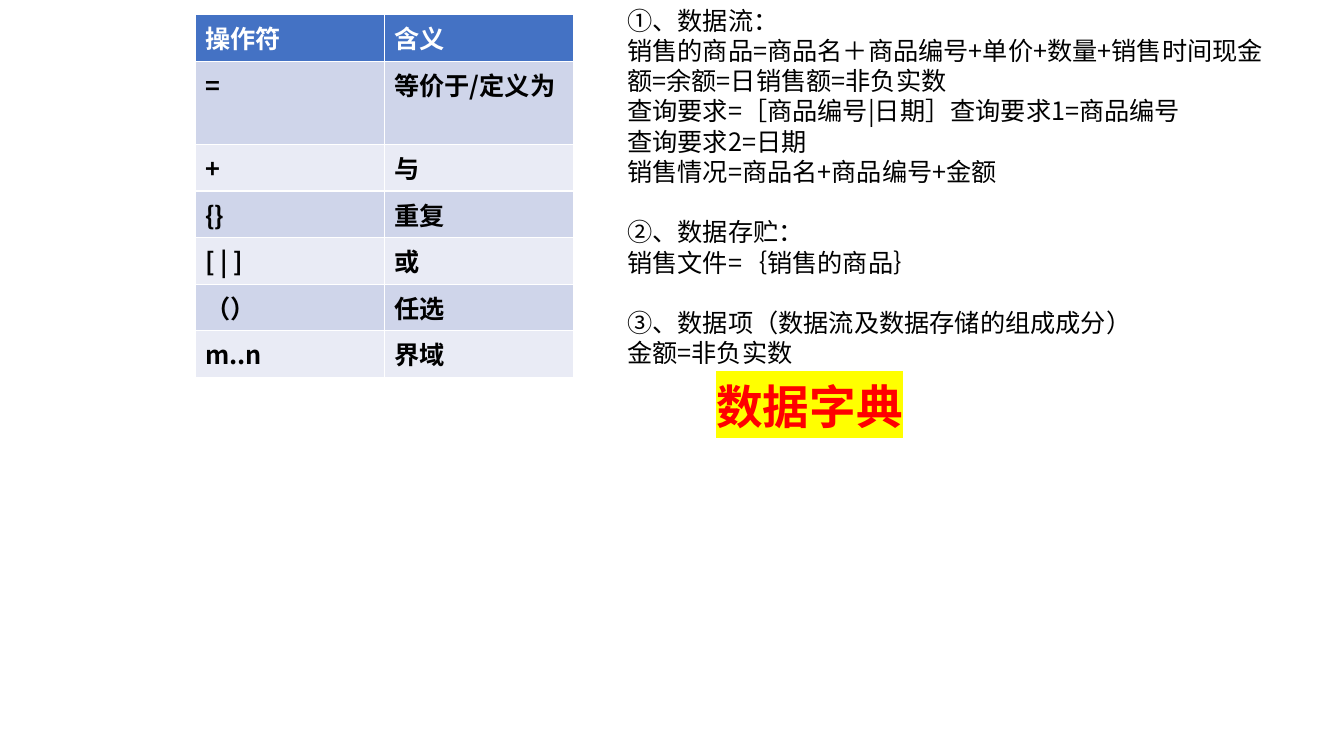
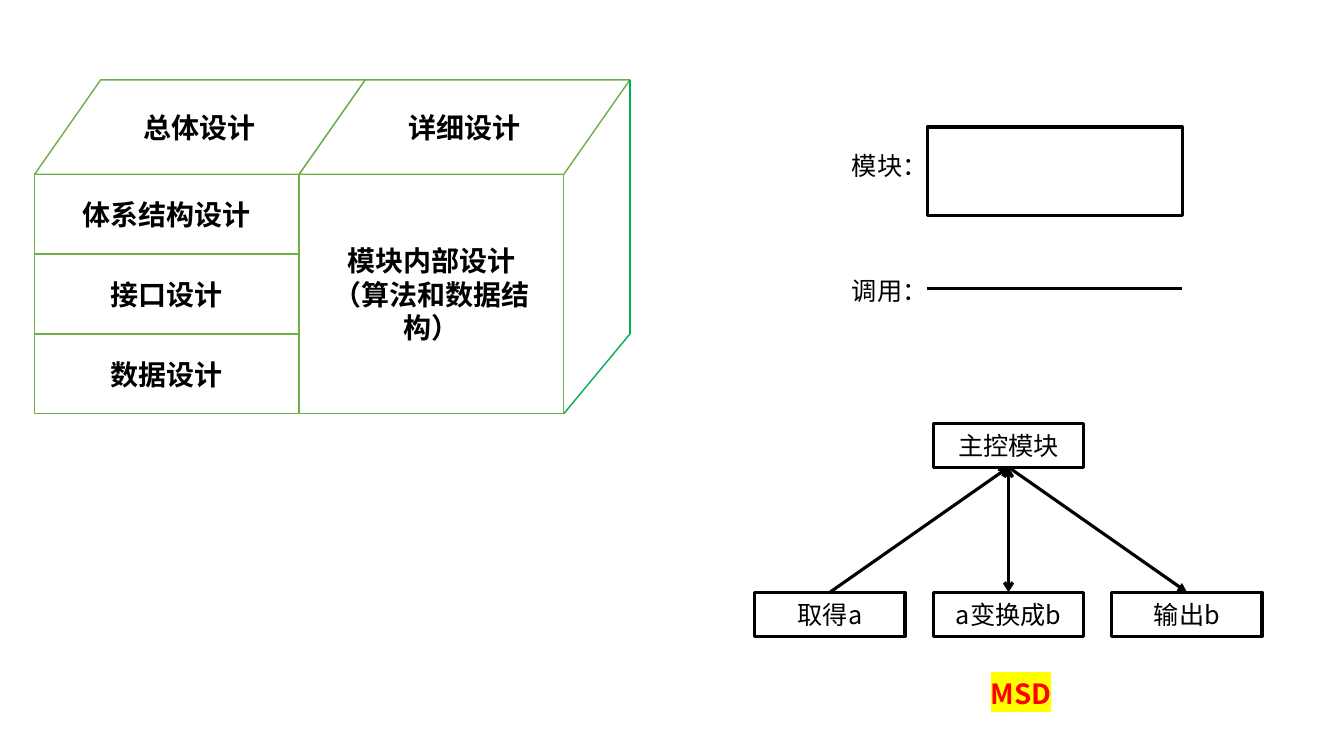
from dataclasses import dataclass

from pptx import Presentation
from pptx.dml.color import RGBColor
from pptx.enum.shapes import MSO_CONNECTOR as Connector, MSO_SHAPE as Preset
from pptx.enum.text import MSO_ANCHOR as Anchor, MSO_AUTO_SIZE as AutoSize, PP_ALIGN as Align
from pptx.oxml.ns import qn
from pptx.oxml.xmlchemy import OxmlElement
from pptx.util import Emu, Pt


@dataclass(frozen=True)
class Theme:
    """Colours, font and sizes shared by the slides."""
    font: str = "Noto Sans CJK SC"
    ink: str = "000000"
    paper: str = "FFFFFF"
    title: str = "FF0000"
    marker: str = "FFFF00"
    header: str = "4472C4"
    bands: tuple = ("CFD5EA", "E9EBF5")
    block: str = "70AD47"
    edge: str = "00B050"
    body_size: float = 18
    block_size: float = 20
    title_size: float = 33.3
    caption_size: float = 19.8
    leading: float = 1.2
    thin: float = 1
    thick: float = 2.25


THEME = Theme()
TITLE_ONLY = 5
TOP, BOTTOM = 0, 2

OPERATORS = (
    ("操作符", "含义"),
    ("=", "等价于/定义为"),
    ("+", "与"),
    ("{}", "重复"),
    ("[ | ]", "或"),
    ("（）", "任选"),
    ("m..n", "界域"),
)
DICTIONARY = (
    ("①、数据流：",
     "销售的商品=商品名＋商品编号+单价+数量+销售时间现金额=余额=日销售额=非负实数",
     "查询要求=［商品编号|日期］查询要求1=商品编号",
     "查询要求2=日期",
     "销售情况=商品名+商品编号+金额"),
    ("②、数据存贮：", "销售文件=｛销售的商品｝"),
    ("③、数据项（数据流及数据存储的组成成分）", "金额=非负实数"),
)


def px(length):
    """Turn pixels into EMU."""
    return Emu(length * 9525)


def rgb(code):
    """Turn a hex code into a colour."""
    return RGBColor.from_string(code)


def write(frame, text, size=THEME.body_size, color=THEME.ink, bold=False,
          align=Align.LEFT, leading=None, marker=None, gaps=()):
    """Write one paragraph per line of text, with space before those in gaps."""
    for index, line in enumerate(text.split("\n")):
        para = frame.paragraphs[0] if index == 0 else frame.add_paragraph()
        para.alignment = align
        if leading:
            para.line_spacing = leading
        if index in gaps:
            para.space_before = Pt(size * THEME.leading)
        span = para.add_run()
        span.text = line
        font = span.font
        font.size, font.bold, font.name = Pt(size), bold, THEME.font
        font.color.rgb = rgb(color)
        props = span._r.get_or_add_rPr()
        east = OxmlElement("a:ea")
        east.set("typeface", THEME.font)
        props.find(qn("a:latin")).addnext(east)
        if marker:
            highlight = OxmlElement("a:highlight")
            tint = OxmlElement("a:srgbClr")
            tint.set("val", marker)
            highlight.append(tint)
            props.find(qn("a:solidFill")).addnext(highlight)


def add_page(deck, title, left, top, width, height, size, leading):
    """Add a slide with its highlighted title."""
    page = deck.slides.add_slide(deck.slide_layouts[TITLE_ONLY])
    box = page.shapes.title
    box.left, box.top, box.width, box.height = map(px, (left, top, width, height))
    frame = box.text_frame
    frame.auto_size, frame.word_wrap = AutoSize.NONE, True
    frame.vertical_anchor = Anchor.BOTTOM
    frame.margin_top = frame.margin_bottom = 0
    write(frame, title, size=size, color=THEME.title, bold=True,
          align=Align.CENTER, leading=leading, marker=THEME.marker)
    return page


def add_text(page, text, left, top, width, height, wrap=True, gaps=()):
    """Add a plain text box."""
    box = page.shapes.add_textbox(*map(px, (left, top, width, height)))
    box.text_frame.word_wrap = wrap
    write(box.text_frame, text, leading=Pt(THEME.body_size * THEME.leading), gaps=gaps)


def add_box(page, left, top, width, height, line, weight, text="", preset=Preset.RECTANGLE, **style):
    """Add an outlined shape with centred text."""
    box = page.shapes.add_shape(preset, *map(px, (left, top, width, height)))
    box.shadow.inherit = False
    box.fill.solid()
    box.fill.fore_color.rgb = rgb(THEME.paper)
    box.line.color.rgb, box.line.width = rgb(line), Pt(weight)
    box.text_frame.vertical_anchor = Anchor.MIDDLE
    if text:
        write(box.text_frame, text, align=Align.CENTER, **style)
    return box


def add_line(page, start, end, color, weight, head=None, tail=None):
    """Add a straight line with optional arrowheads."""
    line = page.shapes.add_connector(Connector.STRAIGHT, *map(px, start + end))
    line.line.color.rgb, line.line.width = rgb(color), Pt(weight)
    props = line._element.spPr
    for tag, kind in (("a:headEnd", head), ("a:tailEnd", tail)):
        if kind:
            tip = OxmlElement(tag)
            tip.set("type", kind)
            props.find(qn("a:ln")).append(tip)
    props.append(OxmlElement("a:effectLst"))
    return line


def add_table(page, rows, left, top, column, row):
    """Add a table with a coloured header and banded rows."""
    count, columns = len(rows), len(rows[0])
    table = page.shapes.add_table(
        count, columns, *map(px, (left, top, column * columns, row * count))).table
    for r, texts in enumerate(rows):
        for c, text in enumerate(texts):
            cell = table.cell(r, c)
            cell.fill.solid()
            cell.fill.fore_color.rgb = rgb(THEME.bands[(r - 1) % 2] if r else THEME.header)
            write(cell.text_frame, text, bold=True, color=THEME.ink if r else THEME.paper)


def add_design_block(page, left, top, width, row):
    """Draw the design block with its slanted top and side."""
    depth, slant = 90, 63
    front, right = top + depth, left + 2 * width
    bottom = front + 3 * row
    style = dict(line=THEME.block, weight=THEME.thin, size=THEME.block_size, bold=True)
    for column, text in enumerate(("总体设计", "详细设计")):
        add_box(page, left + column * width, top, width + slant, depth,
                text=text, preset=Preset.FLOWCHART_DATA, **style)
    for index, text in enumerate(("体系结构设计", "接口设计", "数据设计")):
        add_box(page, left, front + index * row, width, row, text=text, **style)
    add_box(page, left + width, front, width, 3 * row, text="模块内部设计\n（算法和数据结构）",
            leading=Pt(THEME.block_size * THEME.leading), **style)
    corner = (right + slant, bottom - row)
    for start in ((right + slant, top), (right, bottom)):
        add_line(page, start, corner, THEME.edge, THEME.thin)


def add_legend(page, left, top, width, height):
    """Draw the symbols for a module and a call."""
    call = top + 154
    add_box(page, left, top, width, height, THEME.ink, THEME.thick)
    add_line(page, (left, call), (left + width, call), THEME.ink, THEME.thick)
    for text, y in (("模块：", top + 17), ("调用：", call - 18)):
        add_text(page, text, left - 81, y, 92, 38, wrap=False)


def add_module_chart(page, left, top, width, height):
    """Draw the main module and the three modules it calls."""
    pitch, drop = 170, 161
    style = dict(line=THEME.ink, weight=THEME.thick)
    main_box = add_box(page, left + pitch, top, width, height, text="主控模块", **style)
    calls = (("取得a", "arrow", None), ("a变换成b", "arrow", "arrow"), ("输出b", None, "triangle"))
    for index, (text, head, tail) in enumerate(calls):
        box = add_box(page, left + index * pitch, top + drop, width, height, text=text, **style)
        arrow = add_line(page, (left, top), (left, top), THEME.ink, THEME.thick, head, tail)
        arrow.begin_connect(main_box, BOTTOM)
        arrow.end_connect(box, TOP)


def build_dictionary(deck):
    """Build the data dictionary slide."""
    page = add_page(deck, "数据字典", 624, 361, 294, 52, THEME.title_size, 0.8)
    add_table(page, OPERATORS, left=186, top=14, column=180, row=37)
    lines = [line for group in DICTIONARY for line in group]
    gaps = [lines.index(group[0]) for group in DICTIONARY[1:]]
    add_text(page, "\n".join(lines), 588, 0, 640, 359, gaps=gaps)


def build_design(deck):
    """Build the software design slide."""
    page = add_page(deck, "MSD", 836, 641, 273, 34, THEME.caption_size, 0.7)
    add_design_block(page, left=33, top=76, width=252, row=76)
    add_legend(page, left=883, top=121, width=243, height=84)
    add_module_chart(page, left=719, top=403, width=143, height=42)


def main():
    """Build and save the deck."""
    deck = Presentation()
    deck.slide_width, deck.slide_height = px(1280), px(720)
    build_dictionary(deck)
    build_design(deck)
    deck.save("out.pptx")


if __name__ == "__main__":
    main()
